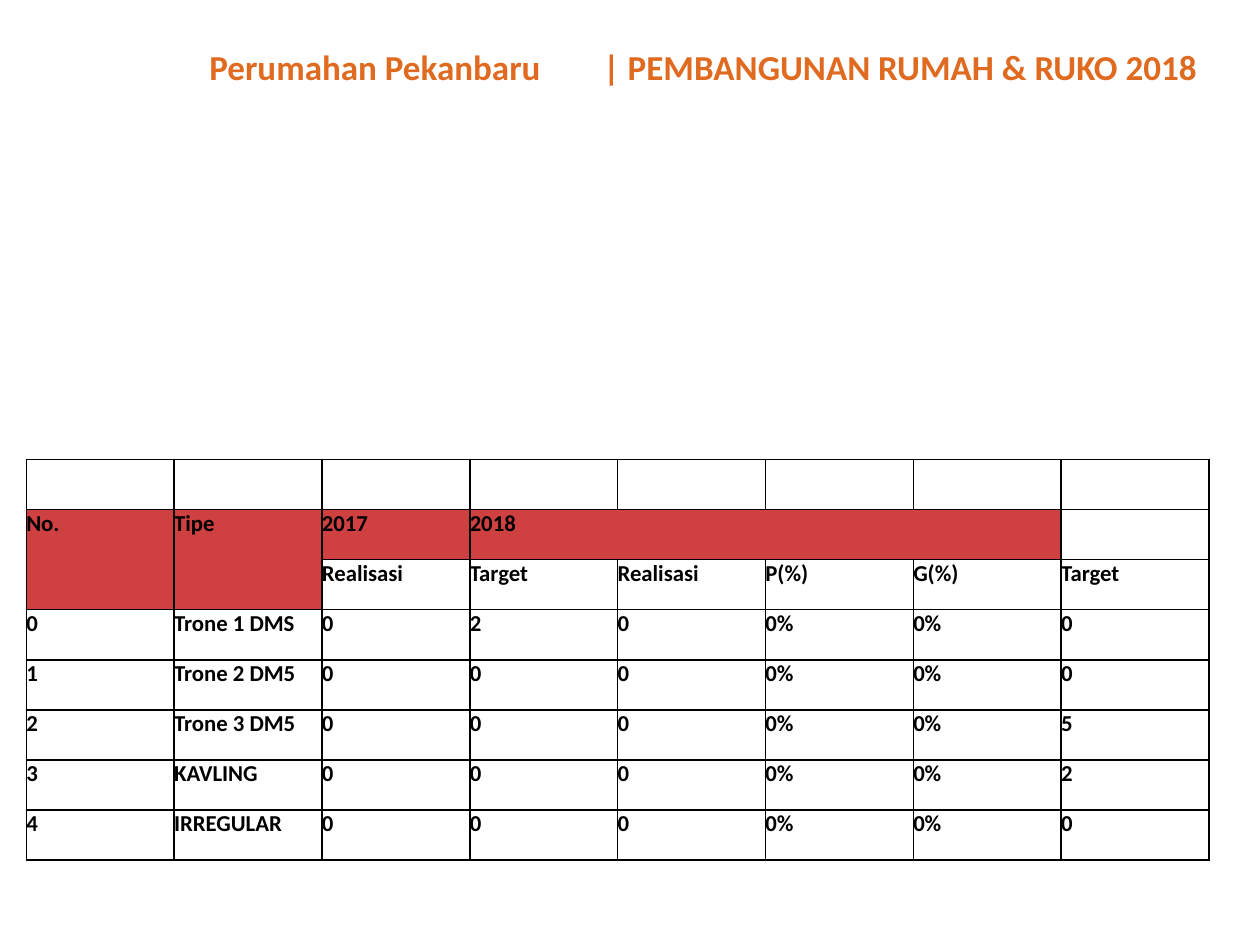
from lxml import etree
from pptx import Presentation
from pptx.dml.color import RGBColor
from pptx.enum.text import MSO_ANCHOR, MSO_AUTO_SIZE
from pptx.oxml.ns import qn
from pptx.util import Cm, Pt

TOP = MSO_ANCHOR.TOP
GROW = MSO_AUTO_SIZE.SHAPE_TO_FIT_TEXT

FONT = "Calibri"
ORANGE = "E06B20"
RED = "C00000"
BLACK = "000000"
BLANK_LAYOUT = 6

COLUMN_WIDTH = 2.98
ROW_HEIGHT = 1.01

TABLE_ROWS = [
    [""] * 8,
    ["No.", "Tipe", "2017", "2018", "", "", "", ""],
    ["", "", "Realisasi", "Target", "Realisasi", "P(%)", "G(%)", "Target"],
    ["0", "Trone 1 DMS", "0", "2", "0", "0%", "0%", "0"],
    ["1", "Trone 2 DM5", "0", "0", "0", "0%", "0%", "0"],
    ["2", "Trone 3 DM5", "0", "0", "0", "0%", "0%", "5"],
    ["3", "KAVLING", "0", "0", "0", "0%", "0%", "2"],
    ["4", "IRREGULAR", "0", "0", "0", "0%", "0%", "0"],
]
# First and last (row, column) of each merged header
MERGES = [((1, 0), (2, 0)), ((1, 1), (2, 1)), ((1, 3), (1, 6))]
HEADER_CELLS = [(1, 0), (1, 1), (1, 2), (1, 3)]


def color(hex_code):
    return RGBColor.from_string(hex_code)


def write_text(text_frame, text, *, size, hex_code=BLACK, bold=True):
    paragraph = text_frame.paragraphs[0]
    font = paragraph.font
    if text:
        run = paragraph.add_run()
        run.text = text
        font = run.font
    font.name = FONT
    font.size = Pt(size)
    font.bold = bold
    font.color.rgb = color(hex_code)


def add_title(slide, text, left):
    box = slide.shapes.add_textbox(Cm(left), Cm(0.79), Cm(15.88), Cm(5.29))
    box.text_frame.word_wrap = True
    box.text_frame.auto_size = GROW
    write_text(box.text_frame, text, size=20, hex_code=ORANGE)


def fill_header(cell, opacity=75):
    cell.fill.solid()
    cell.fill.fore_color.rgb = color(RED)
    fill_color = cell._tc.tcPr.find(f".//{qn('a:srgbClr')}")
    etree.SubElement(fill_color, qn("a:alpha"), val=str(opacity * 1000))


def add_borders(cell, width=1):
    properties = cell._tc.get_or_add_tcPr()
    # Border lines must come before the fill
    for index, side in enumerate(("a:lnL", "a:lnR", "a:lnT", "a:lnB")):
        line = etree.Element(qn(side), w=str(Pt(width)))
        solid = etree.SubElement(line, qn("a:solidFill"))
        etree.SubElement(solid, qn("a:srgbClr"), val=BLACK)
        properties.insert(index, line)


def add_progress_table(slide):
    row_count, column_count = len(TABLE_ROWS), len(TABLE_ROWS[0])
    table = slide.shapes.add_table(
        row_count, column_count, Cm(0.53), Cm(9.26),
        Cm(COLUMN_WIDTH * column_count), Cm(ROW_HEIGHT * row_count),
    ).table
    table.first_row = False
    table.horz_banding = False
    for column in table.columns:
        column.width = Cm(COLUMN_WIDTH)
    for row in table.rows:
        row.height = Cm(ROW_HEIGHT)

    # Cell text, fill and borders
    for row_index, values in enumerate(TABLE_ROWS):
        for column_index, value in enumerate(values):
            cell = table.cell(row_index, column_index)
            cell.margin_left = cell.margin_right = 0
            cell.margin_top = cell.margin_bottom = 0
            cell.vertical_anchor = TOP
            write_text(cell.text_frame, value, size=13)
            if (row_index, column_index) in HEADER_CELLS:
                fill_header(cell)
            else:
                cell.fill.background()
            add_borders(cell)

    # Merged headers
    for first, last in MERGES:
        table.cell(*first).merge(table.cell(*last))


def main():
    presentation = Presentation()
    presentation.slide_width = Cm(25.4)
    presentation.slide_height = Cm(19.05)
    slide = presentation.slides.add_slide(presentation.slide_layouts[BLANK_LAYOUT])

    # Title line in two parts
    add_title(slide, "Perumahan Pekanbaru", 3.97)
    add_title(slide, "| PEMBANGUNAN RUMAH & RUKO 2018", 11.91)

    # Construction progress by house type
    add_progress_table(slide)

    presentation.save("out.pptx")


if __name__ == "__main__":
    main()
